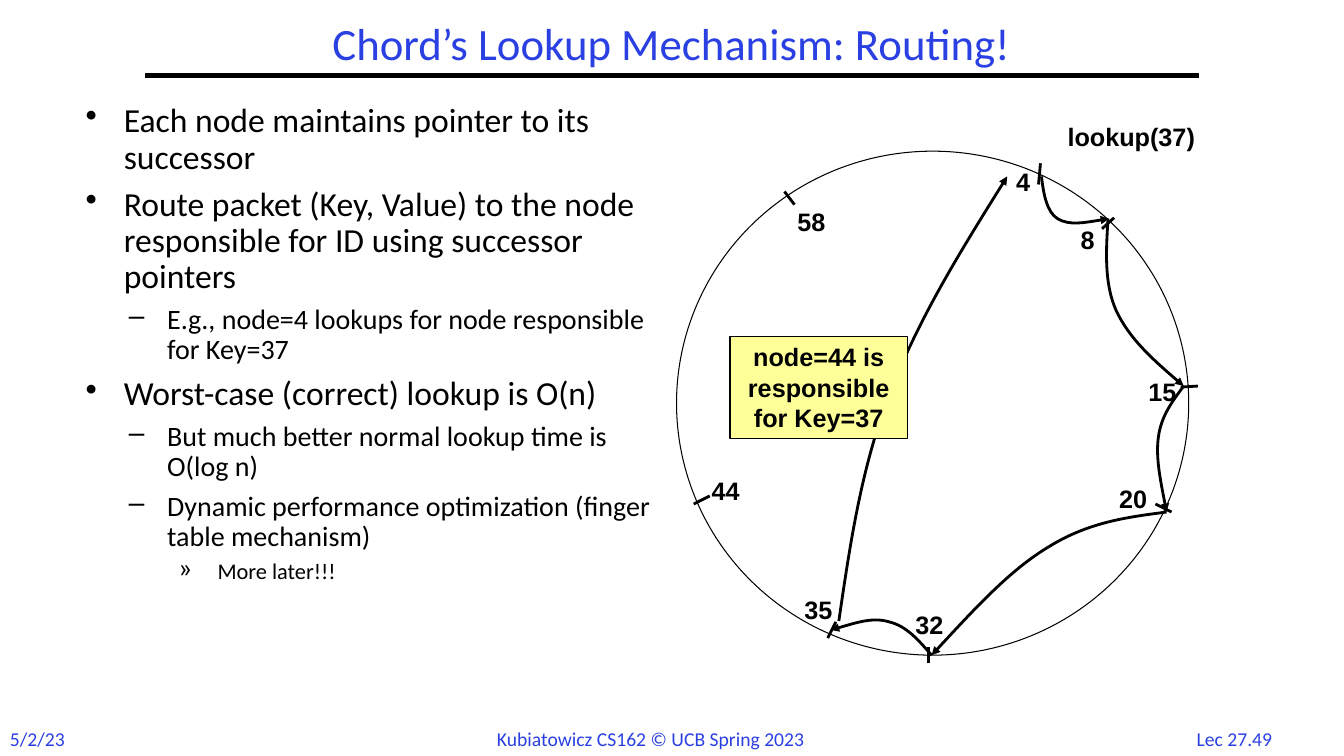
import pptx
import pptx.dml.color
import pptx.enum.shapes
import pptx.enum.text
import pptx.oxml
import pptx.oxml.ns
import pptx.util
from pptx.util import Inches

ALIGN = pptx.enum.text.PP_ALIGN
ANCHOR = pptx.enum.text.MSO_ANCHOR
SHAPE = pptx.enum.shapes.MSO_SHAPE
BLUE, BLACK, YELLOW = "2A40E2", "000000", "FFFF99"

# Level: text size, bullet, left indent in inches
LEVELS = [(24, "•", 0.38), (20, "–", 0.81), (16, "»", 1.31)]
BULLETS = [
    (0, "Each node maintains pointer to its successor"),
    (0, "Route packet (Key, Value) to the node responsible for ID using successor pointers"),
    (1, "E.g., node=4 lookups for node responsible for Key=37"),
    (0, "Worst-case (correct) lookup is O(n)"),
    (1, "But much better normal lookup time is O(log n)"),
    (1, "Dynamic performance optimization (finger table mechanism)"),
    (2, "More later!!!"),
]

# Node: name, label corner, tick start, tick end, all from the ring's corner
NODES = [
    ("4", (3.27, 0.1), (3.61, 0.12), (3.59, 0.33)),
    ("8", (3.91, 0.68), (4.22, 0.77), (4.34, 0.66)),
    ("15", (4.58, 2.18), (5.17, 2.33), (5, 2.34)),
    ("20", (4.29, 3.25), (4.91, 3.58), (4.75, 3.5)),
    ("32", (2.27, 4.5), (2.5, 5.08), (2.5, 4.92)),
    ("35", (1.17, 4.35), (1.5, 4.83), (1.58, 4.67)),
    ("44", (0.25, 3.17), (0.17, 3.5), (0.33, 3.42)),
    ("58", (1.1, 0.5), (1.07, 0.4), (1.17, 0.53)),
]

# Hop: start point, then three points for each Bézier segment
HOPS = [
    [(3.62, 0.25), (3.64, 0.42), (3.67, 0.6), (3.78, 0.67),
     (3.9, 0.74), (4.09, 0.7), (4.29, 0.67)],
    [(4.28, 0.67), (4.26, 0.99), (4.24, 1.31), (4.36, 1.58),
     (4.49, 1.86), (4.76, 2.1), (5.03, 2.33)],
    [(5.03, 2.33), (4.92, 2.48), (4.81, 2.62), (4.78, 2.83),
     (4.75, 3.04), (4.81, 3.31), (4.86, 3.58)],
    [(4.86, 3.58), (4.47, 3.63), (4.09, 3.68), (3.7, 3.92),
     (3.31, 4.15), (2.92, 4.58), (2.53, 5)],
    [(2.53, 5), (2.4, 4.85), (2.28, 4.71), (2.11, 4.67),
     (1.95, 4.62), (1.74, 4.69), (1.53, 4.75)],
    [(1.61, 4.66), (1.72, 3.91), (1.83, 3.15), (2.11, 2.42),
     (2.39, 1.68), (2.83, 0.97), (3.28, 0.25)],
]


def color(value):
    return pptx.dml.color.RGBColor.from_string(value)


def add_xml(parent, tag, **attributes):
    child = pptx.oxml.parse_xml(f"<a:{tag} {pptx.oxml.ns.nsdecls('a')}/>")
    for name, value in attributes.items():
        child.set(name, value)
    parent.append(child)
    return child


def format_text(para, size, name, value, bold=False):
    for span in para.runs:
        span.font.size = pptx.util.Pt(size)
        span.font.name = name
        span.font.bold = bold
        span.font.color.rgb = color(value)


def style_line(line, width):
    line.color.rgb = color(BLACK)
    line.width = pptx.util.Pt(width)


def add_label(page, text, left, top, width, height, size, name, value, bold=False):
    box = page.shapes.add_textbox(*map(Inches, (left, top, width, height)))
    box.text_frame.word_wrap = False
    box.text_frame.text = text
    format_text(box.text_frame.paragraphs[0], size, name, value, bold)
    return box


def add_line(page, start, end, width):
    line = page.shapes.add_connector(
        pptx.enum.shapes.MSO_CONNECTOR.STRAIGHT, *map(Inches, (*start, *end)))
    style_line(line.line, width)
    add_xml(line.element.spPr, "effectLst")


def add_hop(page, points):
    start, *others = [tuple(map(Inches, point)) for point in points]
    builder = page.shapes.build_freeform(*start, scale=1.0)
    builder.add_line_segments(others, close=False)
    hop = builder.convert_to_shape()
    hop.shadow.inherit = False
    hop.fill.background()
    style_line(hop.line, 2)
    add_xml(hop.line._get_or_add_ln(), "tailEnd", type="triangle")

    # Turn each three straight segments into one Bézier segment
    segments = list(hop.element.iter(pptx.oxml.ns.qn("a:lnTo")))
    outline = segments[0].getparent()
    for first in range(0, len(segments), 3):
        curve = add_xml(outline, "cubicBezTo")
        for segment in segments[first:first + 3]:
            curve.append(segment[0])
            outline.remove(segment)


def add_title(page, left, top, width, height):
    title = page.shapes.title
    title.left, title.top, title.width, title.height = map(
        Inches, (left, top, width, height))
    title.text_frame.text = "Chord’s Lookup Mechanism: Routing!"
    title.text_frame.vertical_anchor = ANCHOR.MIDDLE
    para = title.text_frame.paragraphs[0]
    para.alignment = ALIGN.CENTER
    para.line_spacing = 0.9
    format_text(para, 32, "Calibri", BLUE)
    add_line(page, (left, top + height), (left + width + 0.01, top + height), 3)


def add_bullets(page, left, top, width, height):
    box = page.shapes.add_textbox(*map(Inches, (left, top, width, height)))
    frame = box.text_frame
    frame.word_wrap = True
    for index, (level, text) in enumerate(BULLETS):
        size, bullet, indent = LEVELS[level]
        para = frame.add_paragraph() if index else frame.paragraphs[0]
        para.text = text
        para.level = level
        properties = para._p.get_or_add_pPr()
        properties.set("marL", str(Inches(indent)))
        properties.set("indent", str(Inches(-0.38)))
        add_xml(properties, "buChar", char=bullet)
        para.line_spacing = 0.9
        if index:
            para.space_before = pptx.util.Pt(round(size * 0.33, 1))
        format_text(para, size, "Calibri", BLACK)


def add_ring(page, left, top, width, height):
    def place(point):
        return left + point[0], top + point[1]

    ring = page.shapes.add_shape(
        SHAPE.OVAL, *map(Inches, (left, top, width, height)))
    ring.shadow.inherit = False
    ring.fill.background()
    style_line(ring.line, 0.75)

    # Nodes and the request
    for name, corner, start, end in NODES:
        add_label(page, name, *place(corner), 0.2 + 0.14 * len(name), 0.4,
                  18, "Arial", BLACK, True)
        add_line(page, place(start), place(end), 2)
    add_label(page, "lookup(37)", *place((3.78, -0.35)), 1.48, 0.4,
              18, "Arial", BLACK, True)

    # Route of the packet
    for points in HOPS:
        add_hop(page, [place(point) for point in points])

    # Answer
    answer = page.shapes.add_shape(
        SHAPE.RECTANGLE, *map(Inches, (*place((0.53, 1.84)), 1.76, 1.01)))
    answer.shadow.inherit = False
    answer.fill.solid()
    answer.fill.fore_color.rgb = color(YELLOW)
    style_line(answer.line, 1)
    frame = answer.text_frame
    frame.word_wrap = True
    frame.vertical_anchor = ANCHOR.TOP
    frame.text = "node=44 is responsible for Key=37"
    frame.paragraphs[0].alignment = ALIGN.CENTER
    format_text(frame.paragraphs[0], 18, "Arial", BLACK, True)


def add_footer(page, top, height):
    for text, left, width in [("5/2/23", 0, 0.75),
                              ("Kubiatowicz CS162 © UCB Spring 2023", 4.83, 3.68),
                              ("Lec 27.49", 11.77, 1.08)]:
        add_label(page, text, left, top, width, height, 14, "Calibri", BLUE)


def main():
    deck = pptx.Presentation()
    deck.slide_width, deck.slide_height = Inches(13.33), Inches(7.5)
    page = deck.slides.add_slide(deck.slide_layouts[5])
    add_footer(page, 7.16, 0.34)
    add_title(page, 1.44, 0.17, 10.44, 0.58)
    add_bullets(page, 0.75, 0.98, 5.84, 5.6)
    add_ring(page, 6.71, 1.5, 5.08, 5)
    deck.save("out.pptx")


if __name__ == "__main__":
    main()
